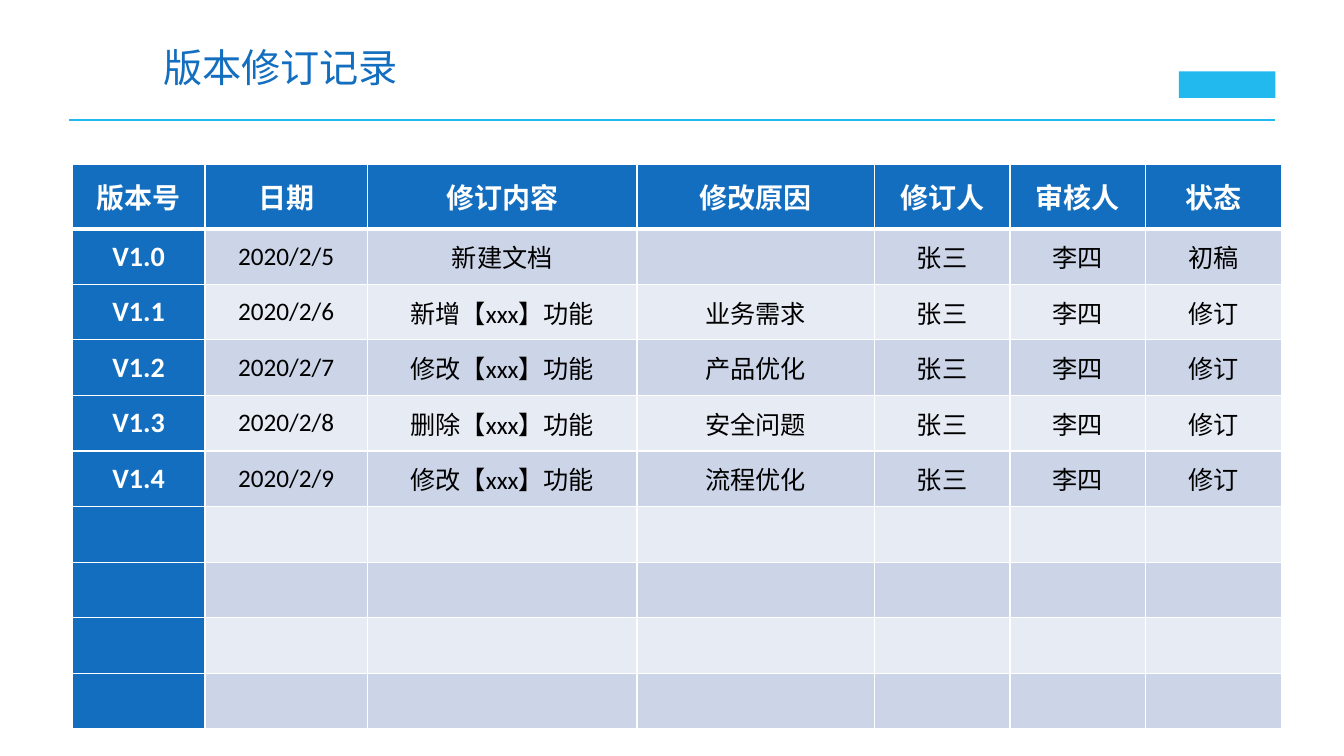
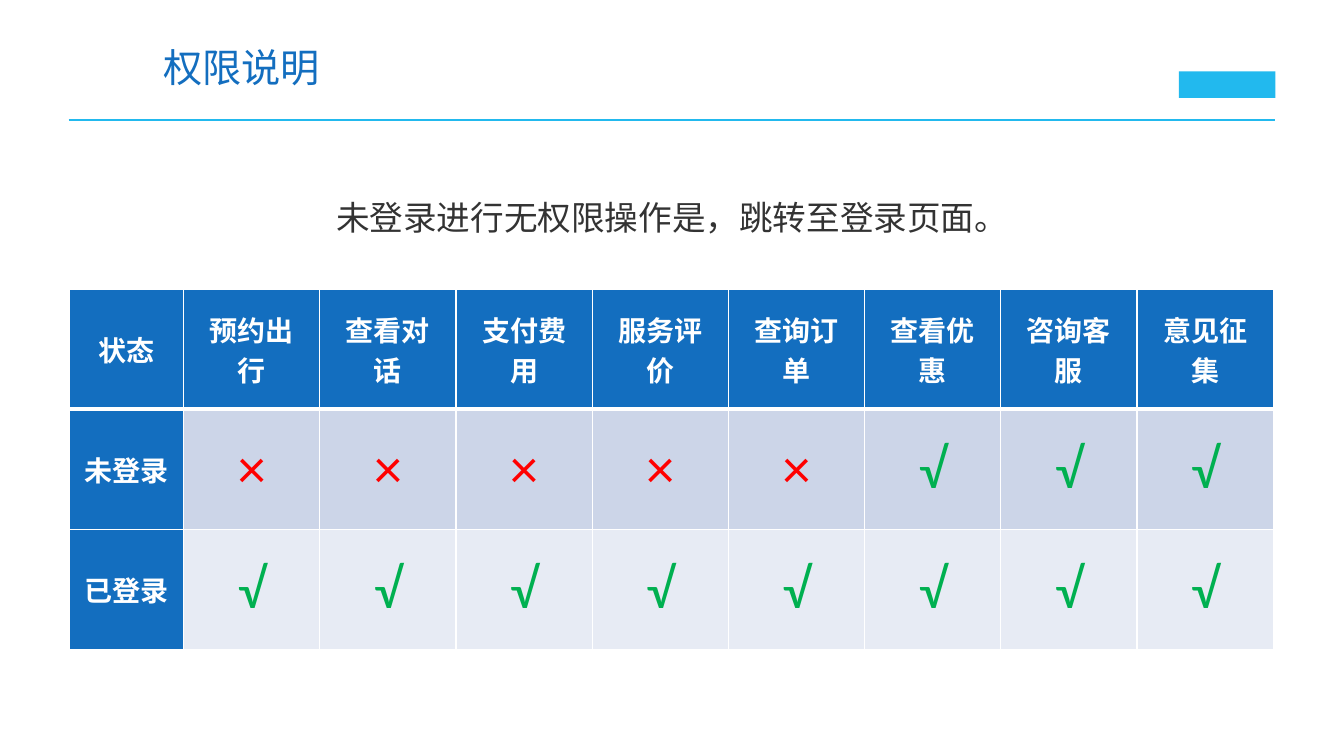
import dataclasses

import lxml.etree
import pptx
import pptx.dml.color
import pptx.enum.shapes
import pptx.enum.text
import pptx.oxml.ns
import pptx.util

Pt = pptx.util.Pt
qn = pptx.oxml.ns.qn
ALIGN = pptx.enum.text.PP_ALIGN
ANCHOR = pptx.enum.text.MSO_ANCHOR


@dataclasses.dataclass(frozen=True)
class Theme:
    primary: str = "136EBF"
    accent: str = "22B9EE"
    white: str = "FFFFFF"
    black: str = "000000"
    note: str = "333333"
    bands: tuple = ("CCD5E8", "E7EBF4")
    denied: str = "FF0000"
    allowed: str = "00B050"
    title_size: float = 28
    note_size: float = 24
    head_size: float = 20
    cell_size: float = 18
    mark_size: float = 40
    east_asian_font: str = "Noto Sans CJK SC"
    table_font: str = "Calibri"
    note_font: str = "Arial"


THEME = Theme()

REVISIONS = [
    ["版本号", "日期", "修订内容", "修改原因", "修订人", "审核人", "状态"],
    ["V1.0", "2020/2/5", "新建文档", "", "张三", "李四", "初稿"],
    ["V1.1", "2020/2/6", "新增【xxx】功能", "业务需求", "张三", "李四", "修订"],
    ["V1.2", "2020/2/7", "修改【xxx】功能", "产品优化", "张三", "李四", "修订"],
    ["V1.3", "2020/2/8", "删除【xxx】功能", "安全问题", "张三", "李四", "修订"],
    ["V1.4", "2020/2/9", "修改【xxx】功能", "流程优化", "张三", "李四", "修订"],
] + [[""] * 7] * 4

PERMISSIONS = [
    ["状态", "预约出行", "查看对话", "支付费用", "服务评价", "查询订单",
     "查看优惠", "咨询客服", "意见征集"],
    ["未登录"] + ["×"] * 5 + ["√"] * 3,
    ["已登录"] + ["√"] * 8,
]


def color(value):
    return pptx.dml.color.RGBColor.from_string(value)


def set_attributes(target, formats):
    for name, value in formats.items():
        setattr(target, name, value)


def write(paragraph, text, font_name, size, text_color, bold=False):
    run = paragraph.add_run()
    run.text = text
    set_attributes(run.font, {"name": font_name, "size": Pt(size), "bold": bold})
    run.font.color.rgb = color(text_color)


def set_east_asian_font(slide):
    """Give every run its Chinese typeface beside the Latin one."""
    for latin in list(slide.shapes.element.iter(qn("a:latin"))):
        east_asian = lxml.etree.Element(qn("a:ea"), typeface=THEME.east_asian_font)
        latin.addnext(east_asian)


def prepare_layout(layout, slide):
    """Place the title, and move the rule and logo block from slide to layout."""
    title = layout.placeholders[0]
    set_attributes(title, {"left": Pt(109.4), "top": Pt(27.4),
                           "width": Pt(805.7), "height": Pt(41)})
    set_attributes(title.text_frame, {
        "vertical_anchor": ANCHOR.MIDDLE, "word_wrap": True,
        "auto_size": pptx.enum.text.MSO_AUTO_SIZE.NONE})

    rule = slide.shapes.add_connector(
        pptx.enum.shapes.MSO_CONNECTOR.STRAIGHT, Pt(49), Pt(85.7), Pt(911), Pt(85.7))
    rule.line.color.rgb = color(THEME.accent)
    rule.line.width = Pt(2)
    lxml.etree.SubElement(rule.element.spPr, qn("a:effectLst"))

    logo_block = slide.shapes.add_shape(
        pptx.enum.shapes.MSO_SHAPE.RECTANGLE, Pt(842), Pt(51), Pt(69), Pt(19))
    logo_block.shadow.inherit = False
    logo_block.fill.solid()
    logo_block.fill.fore_color.rgb = color(THEME.accent)
    logo_block.line.fill.background()

    for number, shape in enumerate((rule, logo_block), start=20):
        next(shape.element.iter(qn("p:cNvPr"))).set("id", str(number))
        layout.shapes.element.append(shape.element)


def add_title(slide, text):
    paragraph = slide.shapes.title.text_frame.paragraphs[0]
    paragraph.alignment = ALIGN.LEFT
    write(paragraph, text, THEME.east_asian_font, THEME.title_size, THEME.primary)


def add_note(slide, text):
    box = slide.shapes.add_textbox(Pt(209), Pt(136.8), Pt(523), Pt(36))
    box.text_frame.word_wrap = True
    paragraph = box.text_frame.paragraphs[0]
    paragraph.alignment = ALIGN.JUSTIFY
    next(box.element.iter(qn("a:pPr"))).set("indent", str(Pt(24)))
    write(paragraph, text, THEME.note_font, THEME.note_size, THEME.note)


def add_borders(cell_properties, row):
    """Draw white cell borders, thicker between the header and the body."""
    widths = {"lnL": 1, "lnR": 1, "lnT": 3 if row == 1 else 1,
              "lnB": 3 if row == 0 else 1}
    for position, (side, width) in enumerate(widths.items()):
        line = lxml.etree.Element(qn("a:" + side), w=str(Pt(width)))
        fill = lxml.etree.SubElement(line, qn("a:solidFill"))
        lxml.etree.SubElement(fill, qn("a:srgbClr"), val=THEME.white)
        cell_properties.insert(position, line)


def body_style(text):
    """Return the type size and colour of a body cell."""
    marks = {"×": (THEME.mark_size, THEME.denied),
             "√": (THEME.mark_size, THEME.allowed)}
    return marks.get(text, (THEME.cell_size, THEME.black))


def fill_cell(cell, text, row, column, margin):
    is_heading = row == 0 or column == 0
    set_attributes(cell, {
        "margin_left": Pt(margin), "margin_right": Pt(margin),
        "margin_top": 0, "margin_bottom": 0, "vertical_anchor": ANCHOR.MIDDLE})
    cell.fill.solid()
    cell.fill.fore_color.rgb = color(
        THEME.primary if is_heading else THEME.bands[(row - 1) % 2])
    if text:
        size, text_color = (
            (THEME.head_size, THEME.white) if is_heading else body_style(text))
        paragraph = cell.text_frame.paragraphs[0]
        paragraph.alignment = ALIGN.CENTER
        write(paragraph, text, THEME.table_font, size, text_color, is_heading)


def add_table(slide, rows, left, top, widths, heights, margin):
    frame = slide.shapes.add_table(
        len(rows), len(widths), Pt(left), Pt(top), Pt(sum(widths)), Pt(sum(heights)))
    table = frame.table
    table.first_col = True
    for column, width in zip(table.columns, widths):
        column.width = Pt(width)
    for table_row, height in zip(table.rows, heights):
        table_row.height = Pt(height)
    for row, texts in enumerate(rows):
        for column, text in enumerate(texts):
            fill_cell(table.cell(row, column), text, row, column, margin)
    for index, cell_properties in enumerate(frame.element.iter(qn("a:tcPr"))):
        add_borders(cell_properties, index // len(widths))


def main():
    presentation = pptx.Presentation()
    set_attributes(presentation, {"slide_width": Pt(960), "slide_height": Pt(540)})
    layout = presentation.slide_layouts.get_by_name("Title Only")
    revision_slide, permission_slide = [
        presentation.slides.add_slide(layout) for _ in range(2)]
    prepare_layout(layout, revision_slide)

    add_title(revision_slide, "版本修订记录")
    add_table(revision_slide, REVISIONS, left=51.5, top=117.4,
              widths=[95, 116, 192.5, 169.5] + [97] * 3,
              heights=[46] + [39.7] * 9, margin=10)

    add_title(permission_slide, "权限说明")
    add_table(permission_slide, PERMISSIONS, left=49.7, top=206.6,
              widths=[81.5] + [97.3] * 8, heights=[85.7] * 3, margin=9)
    add_note(permission_slide, "未登录进行无权限操作是，跳转至登录页面。")

    for slide in presentation.slides:
        set_east_asian_font(slide)
    presentation.save("out.pptx")


if __name__ == "__main__":
    main()
